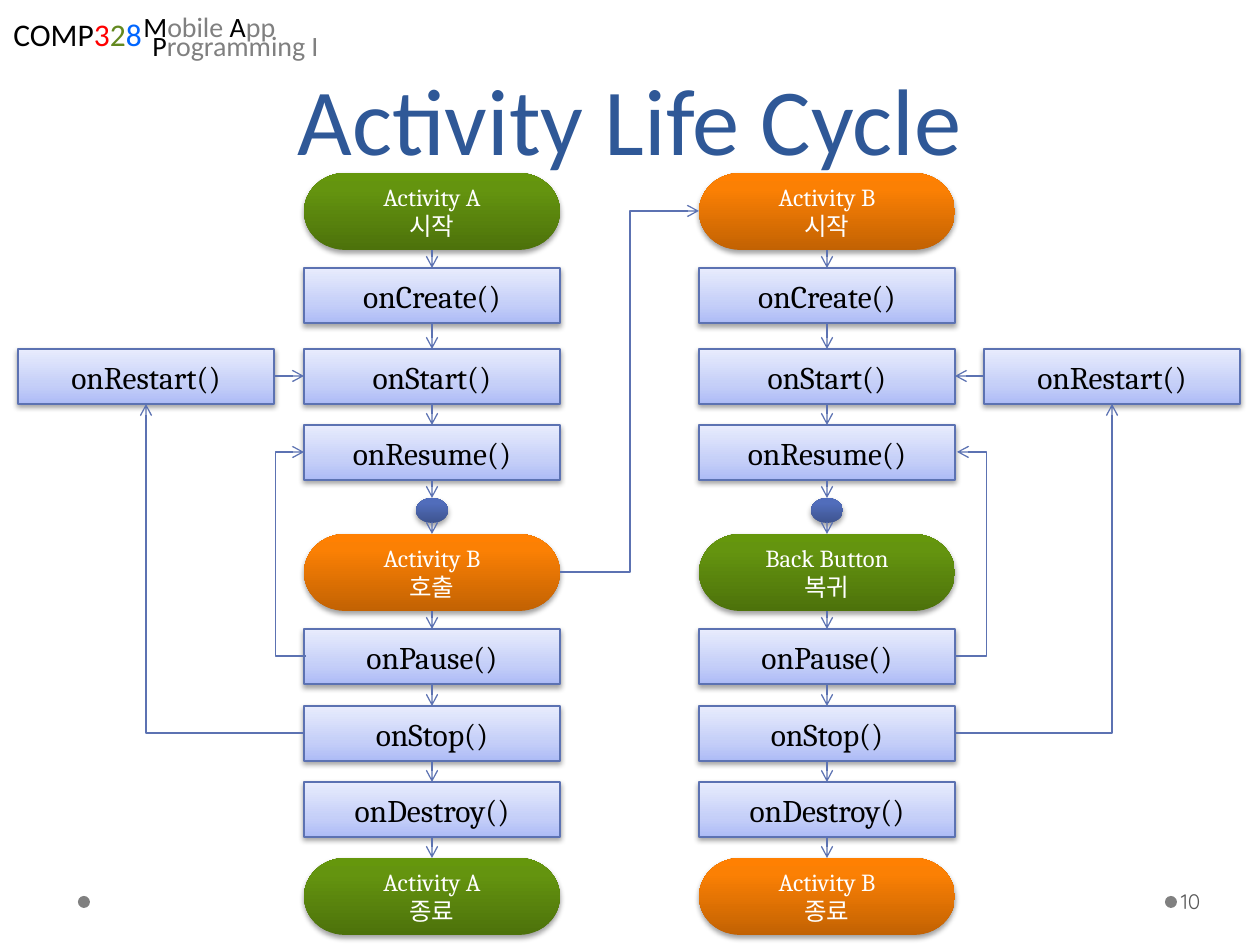
from lxml import etree
from pptx import Presentation
from pptx.dml.color import RGBColor
from pptx.enum.shapes import MSO_CONNECTOR, MSO_SHAPE
from pptx.enum.text import MSO_ANCHOR, MSO_AUTO_SIZE, PP_ALIGN
from pptx.oxml.ns import qn
from pptx.util import Emu, Pt

STRAIGHT, ELBOW = MSO_CONNECTOR.STRAIGHT, MSO_CONNECTOR.ELBOW
STEP, TERMINATOR = MSO_SHAPE.FLOWCHART_PROCESS, MSO_SHAPE.FLOWCHART_TERMINATOR
JOINT, OVAL = MSO_SHAPE.FLOWCHART_CONNECTOR, MSO_SHAPE.OVAL
LEFT, CENTER = PP_ALIGN.LEFT, PP_ALIGN.CENTER
TOP, MIDDLE, BOTTOM = MSO_ANCHOR.TOP, MSO_ANCHOR.MIDDLE, MSO_ANCHOR.BOTTOM

BLACK = RGBColor(0x00, 0x00, 0x00)
WHITE = RGBColor(0xFF, 0xFF, 0xFF)
GRAY = RGBColor(0x80, 0x80, 0x80)
DARK_GRAY = RGBColor(0x59, 0x59, 0x59)
RED = RGBColor(0xFF, 0x00, 0x00)
OLIVE = RGBColor(0x63, 0x89, 0x1F)
BLUE = RGBColor(0x00, 0x66, 0xFF)
TITLE_BLUE = RGBColor(0x2F, 0x58, 0x97)
LINE_BLUE = RGBColor(0x5C, 0x72, 0xB2)

# Gradient stops from bottom to top: percent and colour
GREEN_FILL = [(0, RGBColor(0x4D, 0x72, 0x0B)), (80, RGBColor(0x64, 0x94, 0x0F)),
              (100, RGBColor(0x65, 0x97, 0x0C))]
ORANGE_FILL = [(0, RGBColor(0xC2, 0x62, 0x03)), (80, RGBColor(0xFB, 0x80, 0x04)),
               (100, RGBColor(0xFF, 0x80, 0x02))]
STEP_FILL = [(0, RGBColor(0xAD, 0xBB, 0xF6)), (35, RGBColor(0xC5, 0xCF, 0xF8)),
             (100, RGBColor(0xE8, 0xEC, 0xFD))]
JOINT_FILL = [(0, RGBColor(0x3E, 0x54, 0x90)), (80, RGBColor(0x51, 0x6D, 0xBB)),
              (100, RGBColor(0x4F, 0x6C, 0xBE))]

# Lengths in px, 126 to the inch
SCALE = 914400 / 126
NODE_W, STEP_H, TERMINATOR_H = 256, 55, 77
JOINT_W, JOINT_H = 32, 25
COLUMN_A, COLUMN_B = 304, 699
RESTART_A, RESTART_B = 18, 984
START_Y, CREATE_Y, ONSTART_Y, RESUME_Y, JOINT_Y = 173, 268, 349, 425, 498
CALL_Y, PAUSE_Y, STOP_Y, DESTROY_Y, END_Y = 534, 629, 706, 782, 858


def px(length):
    return Emu(round(length * SCALE))


def add_spans(para, spans, size, font):
    for text, color in spans:
        span = para.add_run()
        span.text = text
        span.font.size, span.font.name = Pt(size), font
        span.font.color.rgb = color


def add_text(page, at, spans, size, font="Calibri", align=LEFT, anchor=TOP,
             spacing=None, wrap=True):
    box = page.shapes.add_textbox(*map(px, at))
    frame = box.text_frame
    frame.word_wrap = wrap
    frame.auto_size = MSO_AUTO_SIZE.NONE if wrap else MSO_AUTO_SIZE.SHAPE_TO_FIT_TEXT
    frame.vertical_anchor = anchor
    para = frame.paragraphs[0]
    para.alignment = align
    if spacing:
        para.line_spacing = Pt(spacing)
    add_spans(para, spans, size, font)
    return frame


def add_dot(page, left, top):
    dot = page.shapes.add_shape(OVAL, px(left), px(top), px(12), px(12))
    dot.shadow.inherit = False
    dot.fill.solid()
    dot.fill.fore_color.rgb = GRAY
    dot.line.fill.background()


def add_color(parent, color):
    return etree.SubElement(parent, qn("a:srgbClr"), val=str(color))


def add_node(page, kind, at, stops, lines=(), size=14, color=WHITE):
    node = page.shapes.add_shape(kind, *map(px, at))
    # Gradient running upwards
    node.fill.gradient()
    node.fill.gradient_angle = 90
    properties = node._element.spPr
    stop_list = properties.find(".//" + qn("a:gsLst"))
    for stop in list(stop_list):
        stop_list.remove(stop)
    for percent, stop_color in stops:
        add_color(etree.SubElement(stop_list, qn("a:gs"), pos=str(percent * 1000)), stop_color)
    if kind == STEP:
        node.line.color.rgb, node.line.width = LINE_BLUE, Pt(0.75)
    else:
        node.line.fill.background()
    # Soft shadow below
    node.shadow.inherit = False
    shadow = etree.SubElement(
        properties.find(qn("a:effectLst")), qn("a:outerShdw"), blurRad=str(Pt(3.1)),
        dist=str(Pt(1.7)), dir="5400000", rotWithShape="0")
    etree.SubElement(add_color(shadow, BLACK), qn("a:alpha"), val="36000")
    # Label
    frame = node.text_frame
    frame.vertical_anchor = MIDDLE
    for index, line in enumerate(lines):
        para = frame.add_paragraph() if index else frame.paragraphs[0]
        para.alignment = CENTER
        add_spans(para, [(line, color)], size, "Cambria")


def add_step(page, left, top, label):
    add_node(page, STEP, (left, top, NODE_W, STEP_H), STEP_FILL, [label], 18, BLACK)


def add_arrow(page, start, end, kind=STRAIGHT, bend_x=None):
    arrow = page.shapes.add_connector(kind, *map(px, start + end))
    arrow.line.color.rgb, arrow.line.width = LINE_BLUE, Pt(0.75)
    etree.SubElement(arrow.line._get_or_add_ln(), qn("a:tailEnd"), type="arrow")
    properties = arrow._element.spPr
    etree.SubElement(properties, qn("a:effectLst"))
    if kind == STRAIGHT:
        return
    # A half turn stands for flipping both ways
    transform = properties.find(qn("a:xfrm"))
    if transform.get("flipH") and transform.get("flipV"):
        del transform.attrib["flipH"], transform.attrib["flipV"]
        transform.set("rot", "10800000")
    geometry = properties.find(qn("a:prstGeom"))
    if bend_x is None:
        geometry.set("prst", "bentConnector2")
    else:
        ratio = (bend_x - start[0]) / (end[0] - start[0])
        guides = geometry.find(qn("a:avLst"))
        etree.SubElement(guides, qn("a:gd"), name="adj1", fmla=f"val {round(ratio * 100000)}")


def add_column(page, left, name, call, main_fill, call_fill):
    center = left + NODE_W // 2
    for top, lines, fill in [(START_Y, (name, "시작"), main_fill), (CALL_Y, call, call_fill),
                             (END_Y, (name, "종료"), main_fill)]:
        add_node(page, TERMINATOR, (left, top, NODE_W, TERMINATOR_H), fill, lines)
    steps = {CREATE_Y: "onCreate()", ONSTART_Y: "onStart()", RESUME_Y: "onResume()",
             PAUSE_Y: "onPause()", STOP_Y: "onStop()", DESTROY_Y: "onDestroy()"}
    for top, label in steps.items():
        add_step(page, left, top, label)
    add_node(page, JOINT, (center - JOINT_W // 2, JOINT_Y, JOINT_W, JOINT_H), JOINT_FILL)
    # Arrows from each node down to the next
    heights = {top: STEP_H for top in steps}
    heights.update({START_Y: TERMINATOR_H, CALL_Y: TERMINATOR_H, END_Y: TERMINATOR_H,
                    JOINT_Y: JOINT_H})
    tops = sorted(heights)
    for top, following in zip(tops, tops[1:]):
        add_arrow(page, (center, top + heights[top]), (center, following))


def add_loops(page, edge, restart_left, restart_edge, pause_x, resume_x, bend_x):
    half = STEP_H // 2
    add_step(page, restart_left, ONSTART_Y, "onRestart()")
    add_arrow(page, (restart_edge, ONSTART_Y + half), (edge, ONSTART_Y + half))
    add_arrow(page, (edge, STOP_Y + half),
              (restart_left + NODE_W // 2, ONSTART_Y + STEP_H), ELBOW)
    add_arrow(page, (pause_x, PAUSE_Y + half), (resume_x, RESUME_Y + half), ELBOW, bend_x)


def add_header(page):
    add_text(page, (0, 24, 155, 38),
             [("COMP", BLACK), ("3", RED), ("2", OLIVE), ("8", BLUE)],
             18, align=CENTER, spacing=13, wrap=False)
    add_text(page, (131, 14, 159, 38),
             [("M", BLACK), ("obile ", GRAY), ("A", BLACK), ("pp", GRAY)],
             16, spacing=13, wrap=False)
    add_text(page, (140, 22, 194, 47), [("P", BLACK), ("rogramming I", GRAY)], 16, wrap=False)
    add_text(page, (63, 37, 1134, 144), [("Activity Life Cycle", TITLE_BLUE)], 54,
             align=CENTER, anchor=BOTTOM, spacing=58)


def add_footer(page):
    for left in (78, 1165):
        add_dot(page, left, 896)
    number = add_text(page, (1177, 876, 77, 50), [("10", DARK_GRAY)], 12, "Quicksand",
                      anchor=MIDDLE)
    number.margin_left = px(4)


def main():
    deck = Presentation()
    deck.slide_width, deck.slide_height = px(1260), px(945)
    page = deck.slides.add_slide(deck.slide_layouts[6])
    add_footer(page)
    add_header(page)

    # The two activities
    add_column(page, COLUMN_A, "Activity A", ("Activity B", "호출"), GREEN_FILL, ORANGE_FILL)
    add_column(page, COLUMN_B, "Activity B", ("Back Button", "복귀"), ORANGE_FILL, GREEN_FILL)

    # Restart and resume loops on the outer sides
    right_b = COLUMN_B + NODE_W
    add_loops(page, COLUMN_A, RESTART_A, RESTART_A + NODE_W, COLUMN_A + 2, COLUMN_A, 275)
    add_loops(page, right_b, RESTART_B, RESTART_B, right_b, right_b + 2, 987)

    # Activity A calls activity B
    half = TERMINATOR_H // 2
    add_arrow(page, (COLUMN_A + NODE_W, CALL_Y + half), (COLUMN_B, START_Y + half), ELBOW, 630)
    deck.save("out.pptx")


if __name__ == "__main__":
    main()
